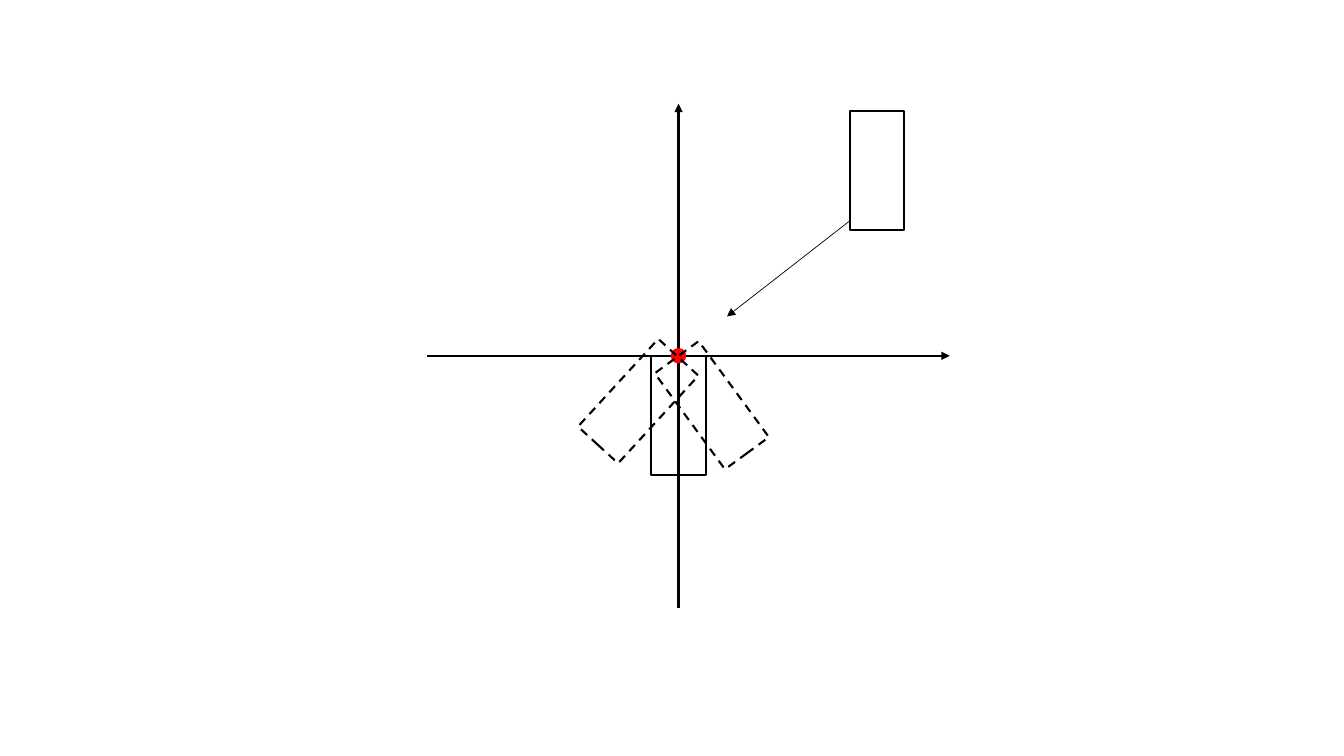
from dataclasses import dataclass

from lxml.etree import SubElement
from pptx import Presentation
from pptx.dml.color import RGBColor
from pptx.enum.dml import MSO_LINE
from pptx.enum.shapes import MSO_CONNECTOR, MSO_SHAPE
from pptx.oxml.ns import qn
from pptx.slide import Slide
from pptx.util import Inches, Pt

BLACK = "000000"
RED = "FF0000"
BLOCK_WIDTH = 0.54
BLOCK_HEIGHT = 1.18
PIVOT_X = 6.73
PIVOT_Y = 3.53
PIVOT_SIZE = 0.14


@dataclass
class Arrow:
    start_x: float
    start_y: float
    end_x: float
    end_y: float
    weight: float = 1.5


@dataclass
class Block:
    left: float
    top: float
    rotation: float = 0
    dashed: bool = False


def color(value: str) -> RGBColor:
    return RGBColor.from_string(value)


def draw_arrow(slide: Slide, arrow: Arrow) -> None:
    connector = slide.shapes.add_connector(
        MSO_CONNECTOR.STRAIGHT,
        Inches(arrow.start_x), Inches(arrow.start_y),
        Inches(arrow.end_x), Inches(arrow.end_y),
    )
    connector.line.color.rgb = color(BLACK)
    connector.line.width = Pt(arrow.weight)
    SubElement(connector.line._get_or_add_ln(), qn("a:tailEnd"), type="triangle")
    SubElement(connector._element.spPr, qn("a:effectLst"))


def draw_block(slide: Slide, block: Block) -> None:
    shape = slide.shapes.add_shape(
        MSO_SHAPE.RECTANGLE,
        Inches(block.left), Inches(block.top),
        Inches(BLOCK_WIDTH), Inches(BLOCK_HEIGHT),
    )
    shape.shadow.inherit = False
    shape.fill.background()
    shape.line.color.rgb = color(BLACK)
    shape.line.width = Pt(1.5)
    shape.rotation = block.rotation
    if block.dashed:
        shape.line.dash_style = MSO_LINE.DASH


def draw_pivot(slide: Slide) -> None:
    pivot = slide.shapes.add_shape(
        MSO_SHAPE.OVAL,
        Inches(PIVOT_X - PIVOT_SIZE / 2), Inches(PIVOT_Y - PIVOT_SIZE / 2),
        Inches(PIVOT_SIZE), Inches(PIVOT_SIZE),
    )
    pivot.shadow.inherit = False
    pivot.fill.solid()
    pivot.fill.fore_color.rgb = color(RED)
    pivot.line.color.rgb = color(RED)
    pivot.line.width = Pt(1)


AXES = [
    Arrow(4.24, PIVOT_Y, 9.42, PIVOT_Y),
    Arrow(PIVOT_X, 6.03, PIVOT_X, 1.03),
]
RESTING_BLOCKS = [
    Block(8.43, 1.1),
    Block(PIVOT_X - BLOCK_WIDTH / 2, PIVOT_Y),
]
MOVE_ARROW = Arrow(8.43, 2.19, 7.21, 3.14, weight=0.5)
SWUNG_BLOCKS = [
    Block(6.06, 3.39, rotation=42.5, dashed=True),
    Block(6.79, 3.43, rotation=323.8, dashed=True),
]

presentation = Presentation()
presentation.slide_width = Inches(13.33)
presentation.slide_height = Inches(7.5)
slide = presentation.slides.add_slide(presentation.slide_layouts[6])

for axis in AXES:
    draw_arrow(slide, axis)
for resting_block in RESTING_BLOCKS:
    draw_block(slide, resting_block)
draw_arrow(slide, MOVE_ARROW)
draw_pivot(slide)
for swung_block in SWUNG_BLOCKS:
    draw_block(slide, swung_block)

presentation.save("out.pptx")
